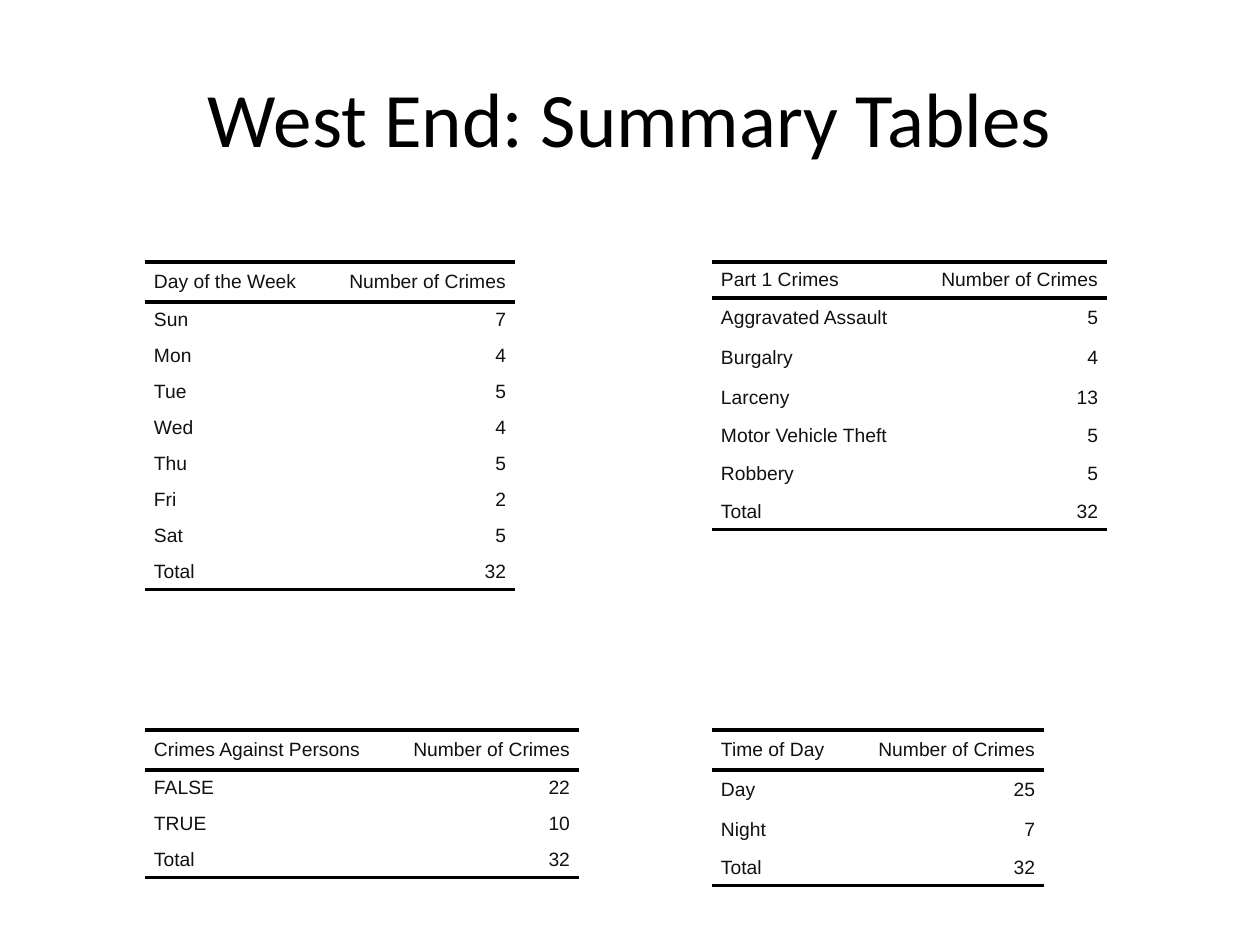
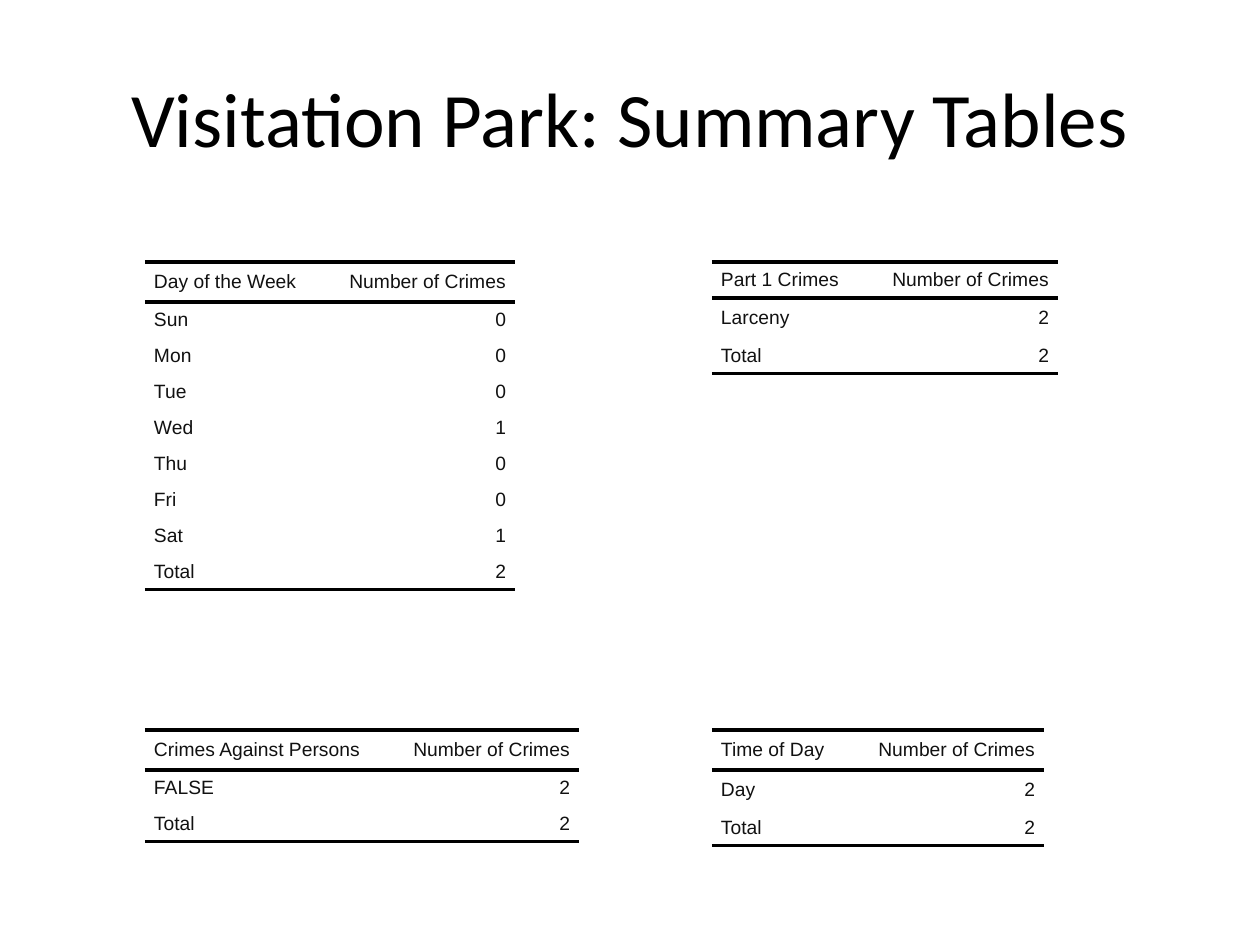
"""Build two slides of neighbourhood crime summary tables."""
from dataclasses import dataclass

from lxml.etree import SubElement
from pptx import Presentation
from pptx.dml.color import RGBColor
from pptx.enum.text import MSO_ANCHOR as Anchor, PP_ALIGN as Align
from pptx.oxml.ns import qn
from pptx.util import Emu, Pt


@dataclass(frozen=True)
class Theme:
    title_font: str = "Calibri"
    title_size: int = 44
    title_color: str = "000000"
    cell_font: str = "Arial"
    cell_size: int = 11
    cell_color: str = "111111"
    rule_color: str = "000000"
    rule_width: int = 2
    table_style: str = "{2D5ABB26-0587-4C30-8999-92F81FD0307C}"


@dataclass(frozen=True)
class Layout:
    left: int
    top: int
    header_h: int
    body_h: int


THEME = Theme()
PX_PER_INCH = 126
SHORT_ROW = 36
TALL_ROW = 40
SHORT_LABELS = {"Total", "Motor Vehicle Theft"}
COUNT_W = 192
CELL_PAD = 9
LEFT, RIGHT = 145, 712
UPPER, LOWER = 262, 730

LAYOUTS = {
    "Part 1 Crimes": Layout(RIGHT, UPPER, SHORT_ROW, TALL_ROW),
    "Day of the Week": Layout(LEFT, UPPER, TALL_ROW, SHORT_ROW),
    "Crimes Against Persons": Layout(LEFT, LOWER, TALL_ROW, SHORT_ROW),
    "Time of Day": Layout(RIGHT, LOWER, TALL_ROW, TALL_ROW),
}
DAYS = ["Sun", "Mon", "Tue", "Wed", "Thu", "Fri", "Sat"]

WEST_END = [
    ("Part 1 Crimes", 203, {"Aggravated Assault": 5, "Burgalry": 4, "Larceny": 13,
                            "Motor Vehicle Theft": 5, "Robbery": 5}),
    ("Day of the Week", 178, dict(zip(DAYS, [7, 4, 5, 4, 5, 2, 5]))),
    ("Crimes Against Persons", 242, {"FALSE": 22, "TRUE": 10}),
    ("Time of Day", 140, {"Day": 25, "Night": 7}),
]
VISITATION_PARK = [
    ("Part 1 Crimes", 154, {"Larceny": 2}),
    ("Day of the Week", 178, dict(zip(DAYS, [0, 0, 0, 1, 0, 0, 1]))),
    ("Crimes Against Persons", 242, {"FALSE": 2}),
    ("Time of Day", 140, {"Day": 2}),
]


def px(n):
    return Emu(round(n * 914400 / PX_PER_INCH))


def style_text(p, font, size, color, align):
    p.alignment = align
    for r in p.runs:
        r.font.name = font
        r.font.size = Pt(size)
        r.font.color.rgb = RGBColor.from_string(color)


def add_title(s, text):
    tf = s.shapes.add_textbox(px(63), px(38), px(1134), px(157)).text_frame
    tf.word_wrap = True
    tf.vertical_anchor = Anchor.MIDDLE
    tf.text = text
    style_text(tf.paragraphs[0], THEME.title_font, THEME.title_size,
               THEME.title_color, Align.CENTER)


def add_rule(cell, edge):
    ln = SubElement(cell._tc.get_or_add_tcPr(), qn(f"a:{edge}"), w=str(Pt(THEME.rule_width)))
    fill = SubElement(ln, qn("a:solidFill"))
    SubElement(fill, qn("a:srgbClr"), val=THEME.rule_color)


def fill_cell(cell, text, align, edges):
    cell.margin_left = cell.margin_right = px(CELL_PAD)
    cell.margin_top = cell.margin_bottom = 0
    cell.vertical_anchor = Anchor.MIDDLE
    cell.text_frame.text = str(text)
    style_text(cell.text_frame.paragraphs[0], THEME.cell_font, THEME.cell_size,
               THEME.cell_color, align)
    for edge in edges:
        add_rule(cell, edge)
    cell.fill.background()


def add_summary_table(s, heading, label_w, counts):
    layout = LAYOUTS[heading]
    rows = [(heading, "Number of Crimes"), *counts.items(), ("Total", sum(counts.values()))]
    heights = [layout.header_h] + [
        SHORT_ROW if label in SHORT_LABELS else layout.body_h for label, _ in rows[1:]]
    table = s.shapes.add_table(len(rows), 2, px(layout.left), px(layout.top),
                               px(label_w + COUNT_W), px(sum(heights))).table
    table.first_row = table.horz_banding = False
    table._tbl.tblPr.find(qn("a:tableStyleId")).text = THEME.table_style
    for column, width in zip(table.columns, (label_w, COUNT_W)):
        column.width = px(width)
    rules = {0: ("lnT", "lnB"), len(rows) - 1: ("lnB",)}
    for i, (values, height) in enumerate(zip(rows, heights)):
        table.rows[i].height = px(height)
        for j, align in enumerate((Align.LEFT, Align.RIGHT)):
            fill_cell(table.cell(i, j), values[j], align, rules.get(i, ()))


def add_summary_slide(prs, area, tables):
    s = prs.slides.add_slide(prs.slide_layouts[6])
    add_title(s, f"{area}: Summary Tables")
    for heading, label_w, counts in tables:
        add_summary_table(s, heading, label_w, counts)


def main():
    prs = Presentation()
    prs.slide_width, prs.slide_height = px(1260), px(945)
    add_summary_slide(prs, "West End", WEST_END)
    add_summary_slide(prs, "Visitation Park", VISITATION_PARK)
    prs.save("out.pptx")


if __name__ == "__main__":
    main()
